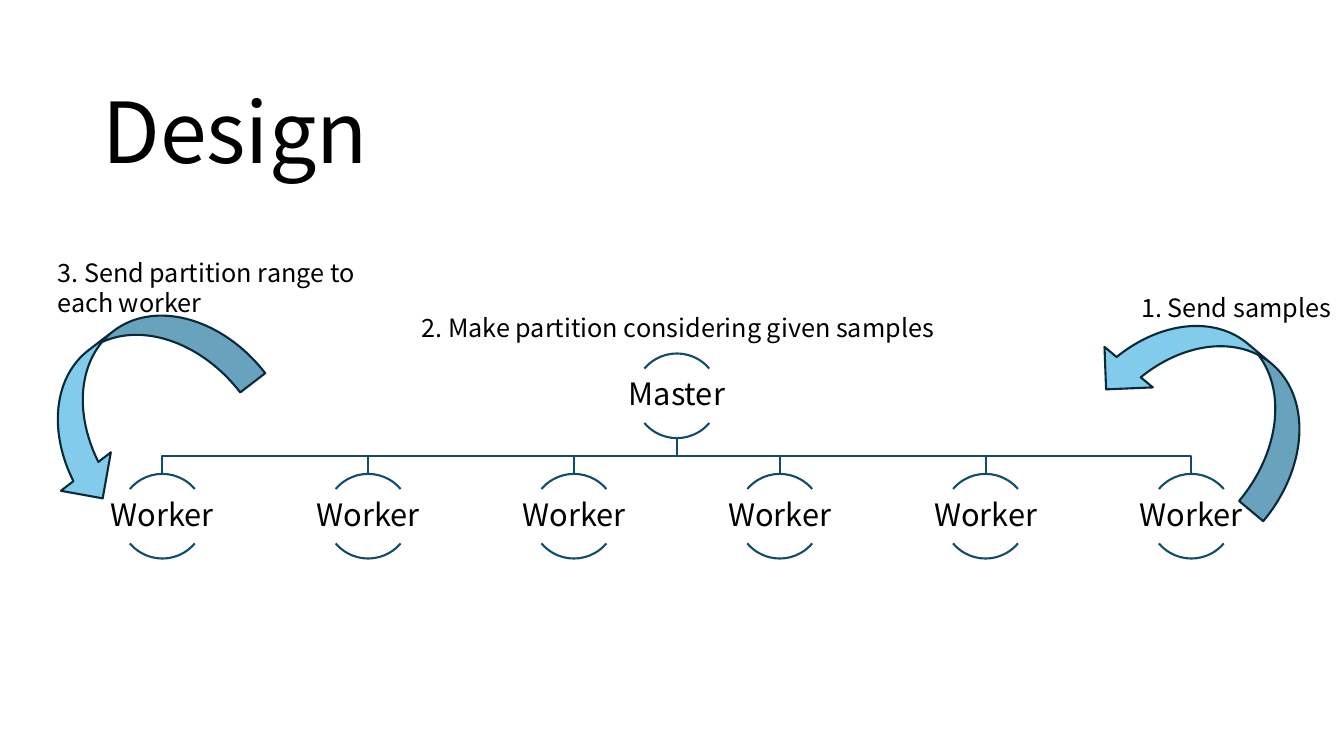
import pptx
import pptx.dml.color
import pptx.enum.shapes
import pptx.enum.text
import pptx.util

Pt = pptx.util.Pt
RGBColor = pptx.dml.color.RGBColor
Shape = pptx.enum.shapes.MSO_SHAPE
Anchor = pptx.enum.text.MSO_ANCHOR
Align = pptx.enum.text.PP_ALIGN
AutoSize = pptx.enum.text.MSO_AUTO_SIZE

COLORS = {
    "text": "000000",
    "tree_line": "114D68",
    "arrow_fill": "83CBEB",
    "arrow_line": "092A39",
}
FONT = "Noto Sans CJK KR"
LINE_WIDTH = 1.5
WORKER_COUNT = 6
CIRCLE = 60.5
ARC_ANGLES = [(132, 192), (24, 84)]

TITLE_FORMAT = {
    "frame": {"vertical_anchor": Anchor.BOTTOM},
    "paragraph": {"line_spacing": 0.9},
    "font": {"size": Pt(60)},
}
STEP_FORMAT = {
    "frame": {"auto_size": AutoSize.SHAPE_TO_FIT_TEXT},
    "paragraph": {},
    "font": {"size": Pt(18)},
}
NODE_FORMAT = {
    "frame": {
        "vertical_anchor": Anchor.MIDDLE,
        "margin_left": Pt(1.4),
        "margin_right": Pt(1.4),
        "margin_top": Pt(1.4),
        "margin_bottom": Pt(1.4),
    },
    "paragraph": {"alignment": Align.CENTER, "line_spacing": 0.9},
    "font": {"size": Pt(22)},
}


def apply_format(target, values):
    for name, value in values.items():
        setattr(target, name, value)


def color(name):
    return RGBColor.from_string(COLORS[name])


def style_shape(shape, line, fill=None):
    shape.shadow.inherit = False
    shape.line.color.rgb = color(line)
    shape.line.width = Pt(LINE_WIDTH)
    if fill:
        shape.fill.solid()
        shape.fill.fore_color.rgb = color(fill)
    else:
        shape.fill.background()


def add_text(shapes, box, text, text_format):
    frame = shapes.add_textbox(*map(Pt, box)).text_frame
    frame.word_wrap = True
    apply_format(frame, text_format["frame"])
    paragraph = frame.paragraphs[0]
    apply_format(paragraph, text_format["paragraph"])
    run = paragraph.add_run()
    run.text = text
    apply_format(run.font, {"name": FONT, **text_format["font"]})
    run.font.color.rgb = color("text")


def add_branch(shapes, start, end):
    middle = (start[1] + end[1]) / 2
    points = [start, (start[0], middle), (end[0], middle), end]
    points = [(Pt(x), Pt(y)) for x, y in points]
    builder = shapes.build_freeform(*points[0])
    builder.add_line_segments(points[1:], close=False)
    style_shape(builder.convert_to_shape(), "tree_line")


def add_node(shapes, center, top, label):
    for angles in ARC_ANGLES:
        arc = shapes.add_shape(
            Shape.ARC, Pt(center - CIRCLE / 2), Pt(top), Pt(CIRCLE), Pt(CIRCLE)
        )
        for index, angle in enumerate(angles):
            arc.adjustments[index] = angle
        style_shape(arc, "tree_line")
    width, height = 2 * CIRCLE, 0.64 * CIRCLE
    label_top = top + (CIRCLE - height) / 2
    add_text(shapes, (center - width / 2, label_top, width, height), label, NODE_FORMAT)


def add_tree(slide, box):
    left, top, width, height = box
    shapes = slide.shapes.add_group_shape().shapes
    pitch = (width - 2 * CIRCLE) / (WORKER_COUNT - 1)
    centers = [left + CIRCLE + pitch * index for index in range(WORKER_COUNT)]
    master_center = left + width / 2
    worker_top = top + height - CIRCLE
    for center in reversed(centers):
        add_branch(shapes, (master_center, top + CIRCLE), (center, worker_top))
    add_node(shapes, master_center, top, "Master")
    for center in centers:
        add_node(shapes, center, worker_top, "Worker")


def add_curved_arrow(slide, box, rotation):
    arrow = slide.shapes.add_shape(Shape.CURVED_RIGHT_ARROW, *map(Pt, box))
    arrow.rotation = rotation
    style_shape(arrow, "arrow_line", "arrow_fill")


def add_steps(slide, box):
    left, top, width, height = box
    arrow_width, arrow_height = 90, 169
    arrow_top = top + height - arrow_height
    add_curved_arrow(
        slide, (left + width - arrow_width, arrow_top + 1, arrow_width, arrow_height), 130
    )
    add_curved_arrow(slide, (left + 16, arrow_top, arrow_width, arrow_height), 52.4)
    steps = [
        ((left + 774, top + 25.2, 193.7, 29), "1. Send samples"),
        ((left + 260, top + 39.5, 409.7, 29), "2. Make partition considering given samples"),
        ((left, top, 242, 51), "3. Send partition range to each worker"),
    ]
    for step_box, text in steps:
        add_text(slide.shapes, step_box, text, STEP_FORMAT)


def main():
    presentation = pptx.Presentation()
    presentation.slide_width = Pt(960)
    presentation.slide_height = Pt(540)
    slide = presentation.slides.add_slide(presentation.slide_layouts[6])
    add_tree(slide, (55.5, 252.5, 856, 146.5))
    add_steps(slide, (34, 180, 877.5, 187))
    add_text(slide.shapes, (66, 28.75, 828, 104.4), "Design", TITLE_FORMAT)
    presentation.save("out.pptx")


if __name__ == "__main__":
    main()
